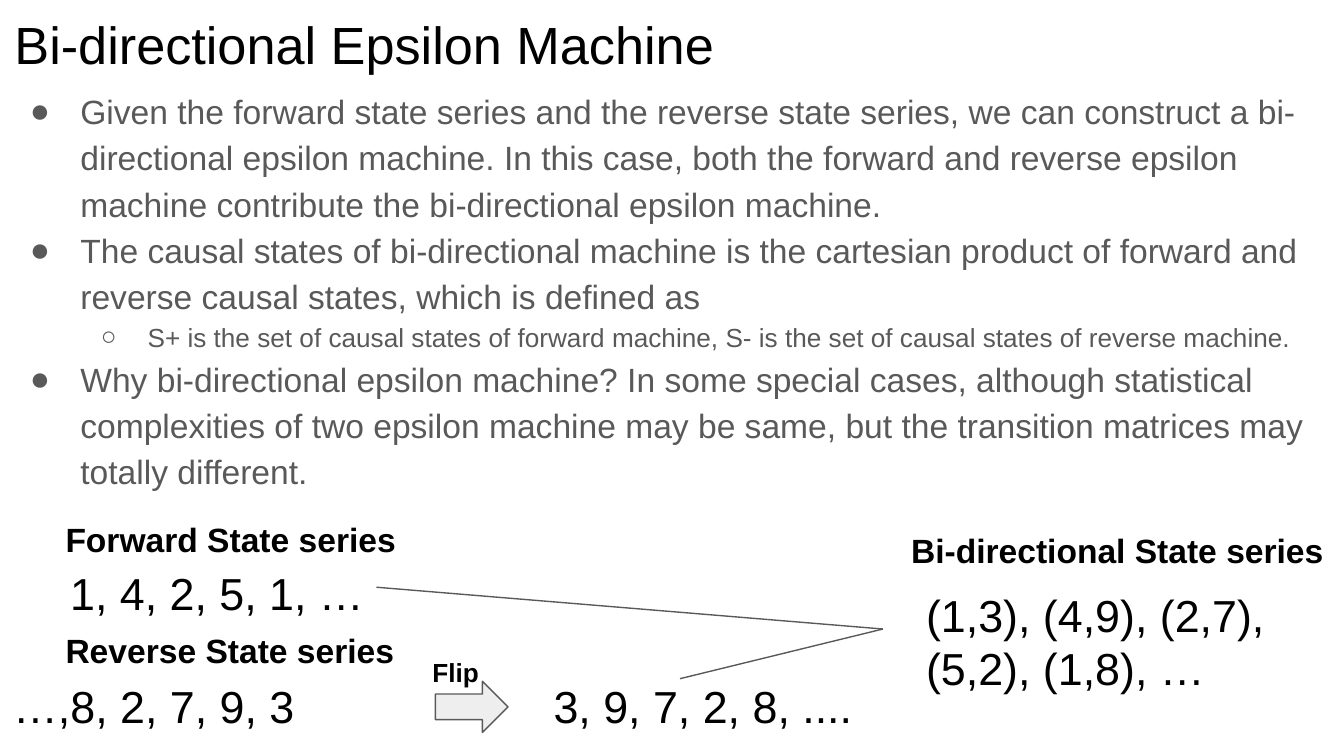
from lxml.etree import SubElement
from pptx import Presentation
from pptx.dml.color import RGBColor
from pptx.enum.shapes import MSO_CONNECTOR, MSO_SHAPE
from pptx.enum.text import MSO_ANCHOR
from pptx.oxml.ns import qn
from pptx.util import Pt

FONT = "Arial"
COLORS = {"black": "000000", "gray": "595959", "arrow": "EEEEEE"}
INSET = 7.2

# Each level: text size, left margin, hanging indent, bullet
LEVELS = [(18, 36, -27, "●"), (14, 72, -25, "○")]
BODY = [
    (0, "Given the forward state series and the reverse state series, we can construct "
        "a bi-directional epsilon machine. In this case, both the forward and reverse "
        "epsilon machine contribute the bi-directional epsilon machine."),
    (0, "The causal states of bi-directional machine is the cartesian product of forward "
        "and reverse causal states, which is defined as"),
    (1, "S+ is the set of causal states of forward machine, S- is the set of causal "
        "states of reverse machine."),
    (0, "Why bi-directional epsilon machine? In some special cases, although statistical "
        "complexities of two epsilon machine may be same, but the transition matrices "
        "may totally different."),
]

# Text, left, top, width, height
HEADINGS = [
    ("Forward State series", 28, 270.7, 201, 36.7),
    ("Reverse State series", 28, 330.5, 201, 36.7),
    ("Bi-directional State series", 481, 276.5, 253.4, 36.7),
]
SERIES = [
    ("1, 4, 2, 5, 1, …", 30.5, 296, 178.6, 45.4),
    ("…,8, 2, 7, 9, 3", 0, 356.4, 228.2, 45.4),
    ("3, 9, 7, 2, 8, ....", 289.5, 356.4, 228.2, 45.4),
    ("(1,3), (4,9), (2,7), (5,2), (1,8), …", 489, 307.5, 236.9, 45.4),
]
MERGE_POINT = (473, 337)
MERGE_STARTS = [(201.6, 314.6), (364.3, 363.6)]


def color(name):
    return RGBColor.from_string(COLORS[name])


def add_frame(slide, left, top, width, height):
    box = slide.shapes.add_textbox(Pt(left), Pt(top), Pt(width), Pt(height))
    frame = box.text_frame
    frame.word_wrap = True
    frame.vertical_anchor = MSO_ANCHOR.TOP
    frame.margin_left = frame.margin_right = Pt(INSET)
    frame.margin_top = frame.margin_bottom = Pt(INSET)
    return frame


def add_run(paragraph, text, size, color_name="black", bold=False):
    run = paragraph.add_run()
    run.text = text
    run.font.name = FONT
    run.font.size = Pt(size)
    run.font.bold = bold
    run.font.color.rgb = color(color_name)


def add_label(slide, text, left, top, width, height, size, bold=False):
    frame = add_frame(slide, left, top, width, height)
    add_run(frame.paragraphs[0], text, size, bold=bold)


def set_bullet(paragraph, level):
    _, margin, indent, character = LEVELS[level]
    paragraph.level = level
    paragraph.line_spacing = 1.15
    properties = paragraph._p.get_or_add_pPr()
    properties.set("marL", str(Pt(margin)))
    properties.set("indent", str(Pt(indent)))
    bullet_color = SubElement(properties, qn("a:buClr"))
    SubElement(bullet_color, qn("a:srgbClr")).set("val", COLORS["gray"])
    SubElement(properties, qn("a:buFont")).set("typeface", FONT)
    SubElement(properties, qn("a:buChar")).set("char", character)


def add_bullets(slide, items, left, top, width, height):
    frame = add_frame(slide, left, top, width, height)
    for index, (level, text) in enumerate(items):
        paragraph = frame.add_paragraph() if index else frame.paragraphs[0]
        set_bullet(paragraph, level)
        add_run(paragraph, text, LEVELS[level][0], "gray")


def style_line(line):
    line.color.rgb = color("gray")
    line.width = Pt(0.75)


def add_arrow(slide, left, top, width, height):
    shape = slide.shapes.add_shape(
        MSO_SHAPE.RIGHT_ARROW, Pt(left), Pt(top), Pt(width), Pt(height))
    shape.shadow.inherit = False
    shape.fill.solid()
    shape.fill.fore_color.rgb = color("arrow")
    style_line(shape.line)


def add_line(slide, start, end):
    connector = slide.shapes.add_connector(
        MSO_CONNECTOR.STRAIGHT, *(Pt(value) for value in (*start, *end)))
    style_line(connector.line)
    SubElement(connector._element.spPr, qn("a:effectLst"))


def main():
    presentation = Presentation()
    presentation.slide_width = Pt(720)
    presentation.slide_height = Pt(405)
    slide = presentation.slides.add_slide(presentation.slide_layouts[6])

    # Title and explanation
    add_label(slide, "Bi-directional Epsilon Machine", 0.7, -0.7, 720, 45.4, 28)
    add_bullets(slide, BODY, 0, 38.2, 720, 238.3)

    # State series with their headings
    for heading in HEADINGS:
        add_label(slide, *heading, size=18, bold=True)
    for series in SERIES:
        add_label(slide, *series, size=24)

    # Flip of the reverse series
    add_arrow(slide, 233.3, 365, 38.9, 27.4)
    add_label(slide, "Flip", 224.6, 344.2, 56.2, 27.4, size=14, bold=True)

    # Lines merging both series
    for start in MERGE_STARTS:
        add_line(slide, start, MERGE_POINT)

    presentation.save("out.pptx")


if __name__ == "__main__":
    main()
